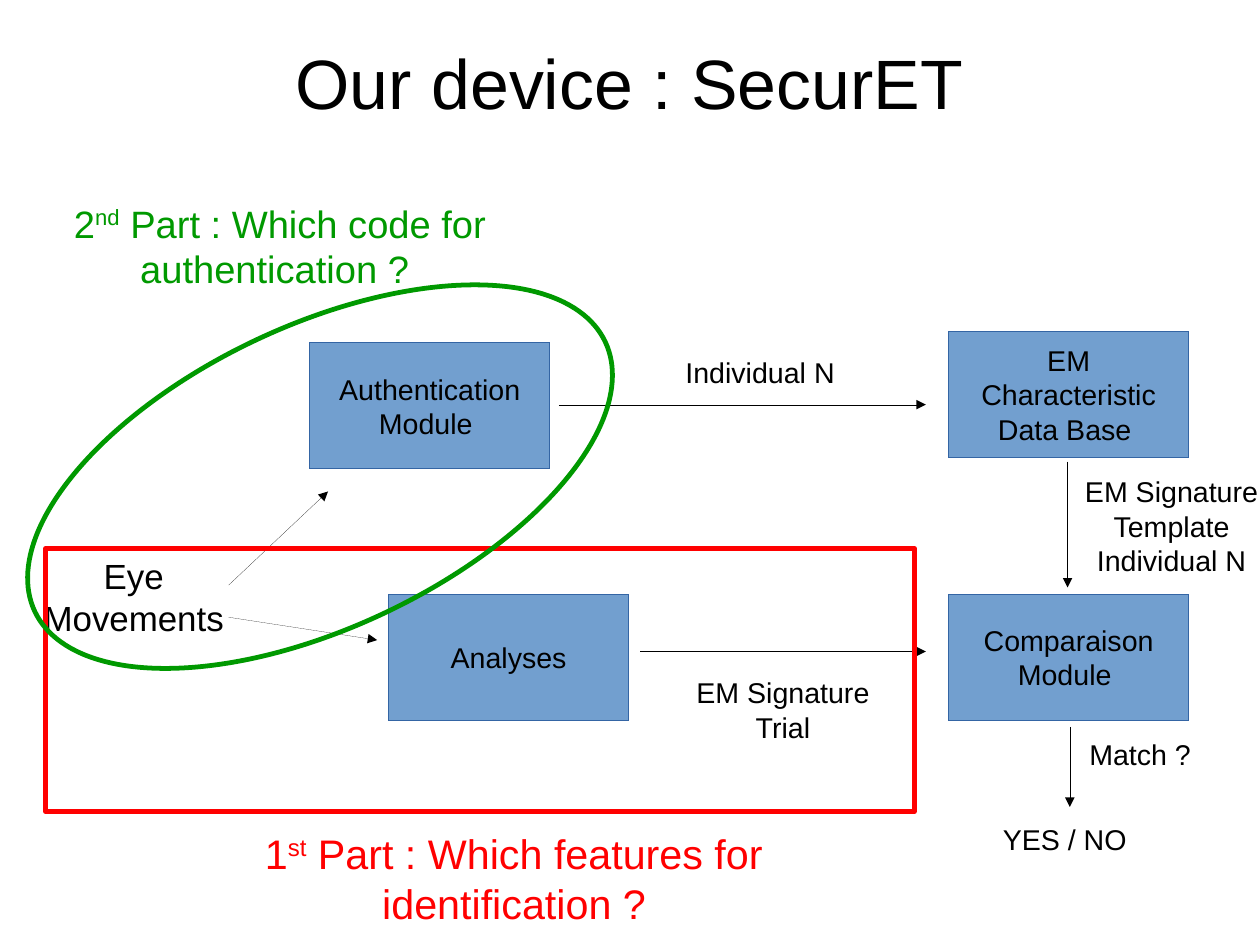
from dataclasses import dataclass

from lxml.etree import SubElement
from pptx import Presentation
from pptx.dml.color import RGBColor as RGB
from pptx.enum.shapes import MSO_CONNECTOR as LINK, MSO_SHAPE as SHAPE
from pptx.enum.text import MSO_ANCHOR as ANCHOR, PP_ALIGN as ALIGN
from pptx.oxml.ns import qn
from pptx.util import Cm, Emu, Pt


@dataclass(frozen=True)
class Theme:
    font: str = "Arial"
    ink: RGB = RGB(0, 0, 0)
    module_fill: RGB = RGB(0x72, 0x9F, 0xCF)
    module_edge: RGB = RGB(0x34, 0x65, 0xA4)
    first_part: RGB = RGB(0xFF, 0, 0)
    second_part: RGB = RGB(0, 0x99, 0)
    title: int = 44
    first_heading: int = 26
    second_heading: int = 24
    source: int = 22
    body: int = 18
    hairline: int = 0
    outline: int = 3


THEME = Theme()
PX = 9144  # EMU per px, 100 px to the inch
SLIDE_WIDTH, SLIDE_HEIGHT = Cm(28), Cm(21)
MODULE_SIZE = (210, 110)

TITLE = ("Our device : SecurET", (55, 2, 992, 138))

MODULES = [  # text, left, top
    ("Authentication\nModule ", 271, 300),
    ("EM Characteristic\nData Base ", 830, 290),
    ("Comparaison\nModule ", 830, 520),
    ("Analyses", 340, 520),
]

LABELS = [  # text, (left, top, width, height)
    ("Individual N", (580, 306, 170, 48)),
    ("EM Signature\nTemplate\nIndividual N", (910, 410, 230, 94)),
    ("EM Signature\nTrial", (570, 586, 230, 94)),
    ("Match ? ", (886, 640, 230, 66)),
    ("YES / NO ", (820, 714, 230, 66)),
]
EYE_MOVEMENTS = ("Eye\nMovements", (24, 480, 186, 78))

ARROWS = [  # from x, y, to x, y
    (489, 354, 810, 354),
    (200, 512, 287, 430),
    (200, 540, 330, 560),
    (560, 570, 810, 570),
    (934, 404, 934, 514),
    (936, 636, 936, 706),
]

PARTS = [  # outline, its box, rotation, heading runs, heading box, colour, size
    (SHAPE.RECTANGLE, (40, 480, 760, 230), 0,
     ("1", "st", " Part : Which features for identification ?"),
     (150, 720, 600, 132), THEME.first_part, THEME.first_heading),
    (SHAPE.OVAL, (4, 285, 552, 264), 334.7,
     ("2", "nd", " Part : Which code for authentication ? "),
     (10, 170, 470, 86), THEME.second_part, THEME.second_heading),
]


def emu(lengths):
    return [Emu(length * PX) for length in lengths]


def style_text(frame, size, color=THEME.ink, anchor=ANCHOR.TOP):
    frame.word_wrap = True
    frame.vertical_anchor = anchor
    for paragraph in frame.paragraphs:
        paragraph.alignment = ALIGN.CENTER
        for run in paragraph.runs:
            run.font.name = THEME.font
            run.font.size = Pt(size)
            run.font.color.rgb = color


def style_line(shape, color, width):
    """Set the line and return its XML; a zero width has to be explicit."""
    shape.line.color.rgb = color
    line = shape._element.spPr.find(qn("a:ln"))
    line.set("w", str(Pt(width)))
    return line


def add_label(shapes, text, box, size=THEME.body, anchor=ANCHOR.TOP):
    frame = shapes.add_textbox(*emu(box)).text_frame
    frame.text = text
    style_text(frame, size, anchor=anchor)


def add_outlined(shapes, kind, box, color, width):
    shape = shapes.add_shape(kind, *emu(box))
    shape.shadow.inherit = False
    shape.fill.background()
    style_line(shape, color, width)
    return shape


def add_module(shapes, text, left, top):
    module = add_outlined(shapes, SHAPE.RECTANGLE, (left, top, *MODULE_SIZE),
                          THEME.module_edge, THEME.hairline)
    module.fill.solid()
    module.fill.fore_color.rgb = THEME.module_fill
    module.text_frame.text = text
    style_text(module.text_frame, THEME.body, anchor=ANCHOR.MIDDLE)


def add_arrow(shapes, ends):
    arrow = shapes.add_connector(LINK.STRAIGHT, *emu(ends))
    line = style_line(arrow, THEME.ink, THEME.hairline)
    SubElement(line, qn("a:tailEnd"), type="triangle")
    SubElement(arrow._element.spPr, qn("a:effectLst"))


def add_part(shapes, kind, box, rotation, heading, heading_box, color, size):
    """Circle a part of the diagram and add its heading, ordinal raised."""
    add_outlined(shapes, kind, box, color, THEME.outline).rotation = rotation
    frame = shapes.add_textbox(*emu(heading_box)).text_frame
    for piece in heading:
        frame.paragraphs[0].add_run().text = piece
    style_text(frame, size, color)
    ordinal = frame.paragraphs[0].runs[1]
    ordinal._r.get_or_add_rPr().set("baseline", "33000")


def main():
    deck = Presentation()
    deck.slide_width = SLIDE_WIDTH
    deck.slide_height = SLIDE_HEIGHT
    shapes = deck.slides.add_slide(deck.slide_layouts[6]).shapes

    add_label(shapes, *TITLE, THEME.title, ANCHOR.MIDDLE)
    for module in MODULES:
        add_module(shapes, *module)
    for label in LABELS:
        add_label(shapes, *label)
    add_label(shapes, *EYE_MOVEMENTS, THEME.source)
    for ends in ARROWS:
        add_arrow(shapes, ends)
    for part in PARTS:
        add_part(shapes, *part)

    deck.save("out.pptx")


if __name__ == "__main__":
    main()
